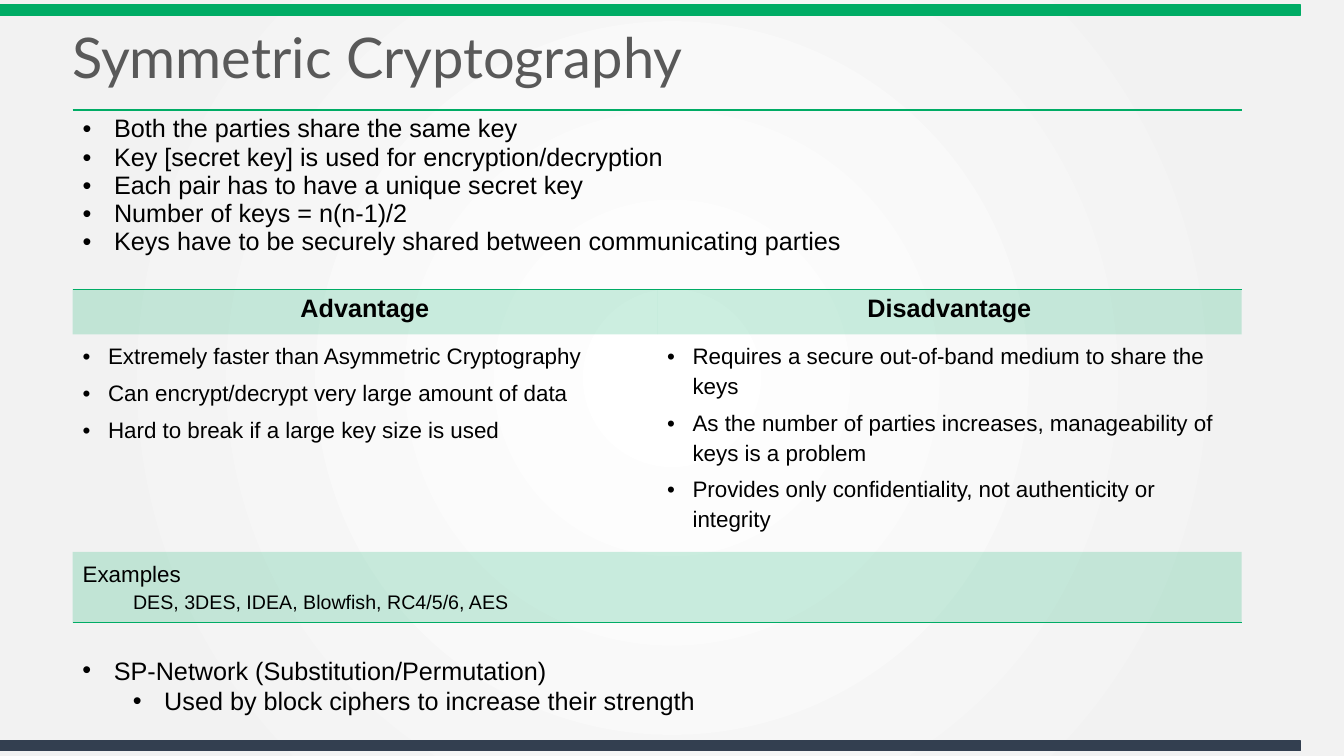
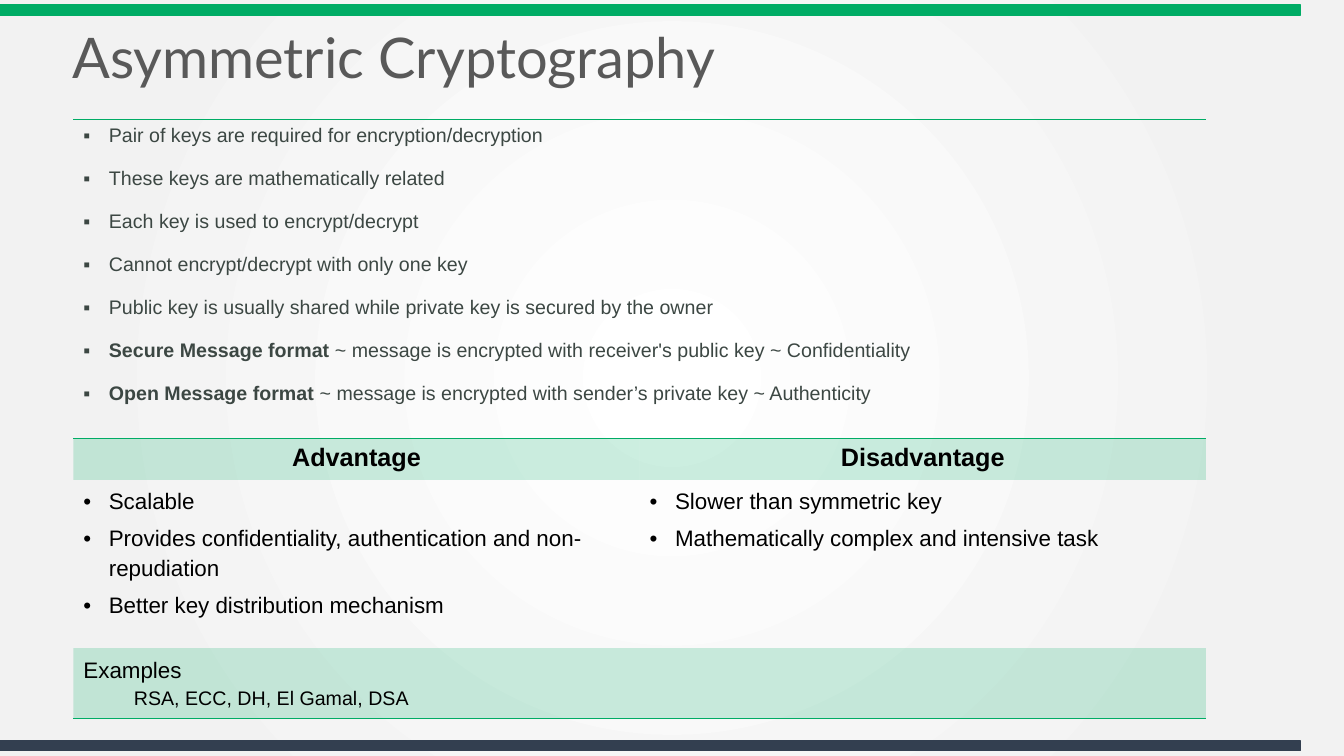
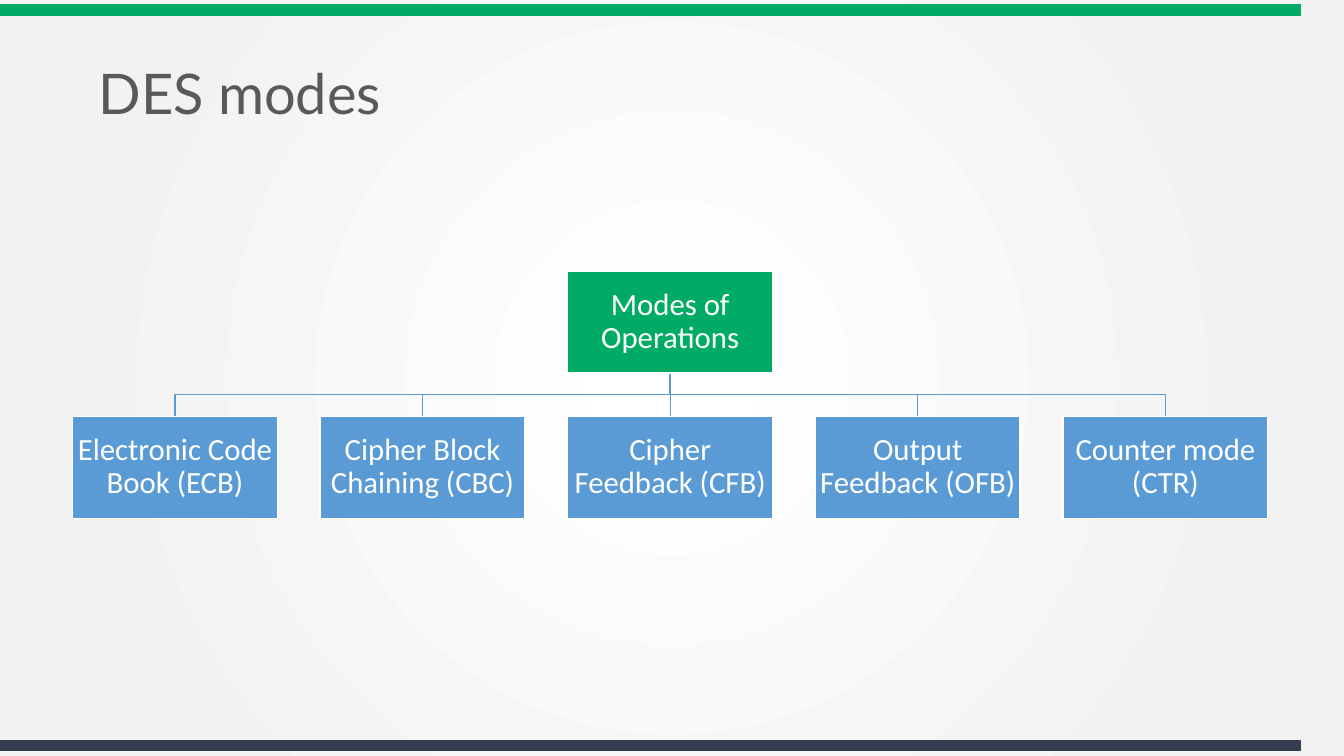
from lxml import etree
from pptx import Presentation, util as u
from pptx.dml.color import RGBColor
from pptx.enum import shapes, text
from pptx.oxml import parse_xml
from pptx.oxml.ns import nsdecls, qn

COLORS = {"green": "00AC65", "navy": "333F50", "title": "595959", "black": "000000",
          "slate": "3C4743", "blue": "5B9BD5", "white": "FFFFFF", "edge": "F2F2F2"}
NO_STYLE = "{2D5ABB26-0587-4C30-8999-92F81FD0307C}"

# Paragraph styles: margin and hanging indent in cm, sizes and gaps in points
STYLES = {
    "title": dict(font="Lato", size=40, color="title", spacing=0.9),
    "intro": dict(size=18, margin=0.79, hang=0.79, bullet="•"),
    "sub": dict(size=18, level=1, margin=2.06, hang=0.79, bullet="•"),
    "note": dict(size=14, color="slate", margin=0.64, hang=0.64, bullet="▪", before=15),
    "head": dict(size=18, bold=True, align=text.PP_ALIGN.CENTER),
    "point": dict(size=16, margin=0.64, hang=0.64, bullet="•", before=5, spacing=1.2),
    "label": dict(size=16, spacing=1.2),
    "names": dict(size=14, level=1, margin=1.27, spacing=1.2),
    "node": dict(font="Calibri", size=22, color="white", spacing=0.9,
                 align=text.PP_ALIGN.CENTER),
}


def rgb(name):
    """Return the named colour."""
    return RGBColor.from_string(COLORS[name])


def write(tf, lines):
    """Fill a text frame with (style, text) lines; text before a bar is bold."""
    tf.word_wrap = True
    for i, (style, line) in enumerate(lines):
        st = STYLES[style]
        p = tf.paragraphs[0] if i == 0 else tf.add_paragraph()
        p.level = st.get("level", 0)
        p.alignment = st.get("align", text.PP_ALIGN.LEFT)
        p.line_spacing = st.get("spacing", 1.0)
        p.space_before = u.Pt(st.get("before", 0))
        lead, _, rest = line.rpartition("|")
        for words, bold in ((lead, True), (rest, st.get("bold", False))):
            if words:
                r = p.add_run()
                r.text = words
                r.font.name = st.get("font", "Arial")
                r.font.size = u.Pt(st["size"])
                r.font.bold = bold
                r.font.color.rgb = rgb(st.get("color", "black"))
        pPr = p._p.get_or_add_pPr()
        pPr.set("marL", str(u.Cm(st.get("margin", 0))))
        pPr.set("indent", str(-u.Cm(st.get("hang", 0))))
        if "bullet" in st:
            etree.SubElement(pPr, qn("a:buFont")).set("typeface", "Arial")
            etree.SubElement(pPr, qn("a:buChar")).set("char", st["bullet"])


prs = Presentation()
prs.slide_width, prs.slide_height = u.Cm(33.87), u.Cm(19.05)
master = prs.slide_master

# Shared background
fill = master.background.fill
fill.solid()
solid = master._element.find(".//" + qn("a:solidFill"))
stops = "".join(f'<a:gs pos="{pos}"><a:srgbClr val="{COLORS[name]}"/></a:gs>'
                for pos, name in ((0, "white"), (81000, "edge"), (100000, "edge")))
solid.getparent().replace(solid, parse_xml(
    f'<a:gradFill {nsdecls("a")}><a:gsLst>{stops}</a:gsLst><a:path path="circle">'
    '<a:fillToRect l="50000" t="50000" r="50000" b="50000"/></a:path></a:gradFill>'))

# Slides and their titles
slides = []
for title, left, top in (("Symmetric Cryptography", 1.57, 0.51),
                         ("Asymmetric Cryptography", 1.57, 0.51),
                         ("DES modes", 2.24, 1.42)):
    s = prs.slides.add_slide(prs.slide_layouts[6])
    sp = s.shapes.add_textbox(u.Cm(left), u.Cm(top), u.Cm(29.72), u.Cm(2.03))
    sp.text_frame.vertical_anchor = text.MSO_ANCHOR.MIDDLE
    write(sp.text_frame, [("title", title)])
    slides.append(s)
symmetric, asymmetric, modes = slides

# Shared bands, moved to the master
for top, color in ((0.13, "green"), (18.67, "navy")):
    sp = symmetric.shapes.add_shape(shapes.MSO_SHAPE.RECTANGLE, 0, u.Cm(top),
                                    u.Cm(32.77), u.Cm(0.25))
    sp.shadow.inherit = False
    sp.fill.solid()
    sp.fill.fore_color.rgb = sp.line.color.rgb = rgb(color)
    sp.line.width = u.Pt(1)
    master.shapes._spTree.append(sp._element)

# Comparison tables
tables = [
    dict(slide=symmetric, left=1.83, top=2.77, col=14.73, rows=(4.52, 1.14, 5.41, 1.75),
         style="intro",
         intro=["Both the parties share the same key",
                "Key [secret key] is used for encryption/decryption",
                "Each pair has to have a unique secret key",
                "Number of keys = n(n-1)/2",
                "Keys have to be securely shared between communicating parties"],
         pros=["Extremely faster than Asymmetric Cryptography",
               "Can encrypt/decrypt very large amount of data",
               "Hard to break if a large key size is used"],
         cons=["Requires a secure out-of-band medium to share the keys",
               "As the number of parties increases, manageability of keys is a problem",
               "Provides only confidentiality, not authenticity or integrity"],
         examples="DES, 3DES, IDEA, Blowfish, RC4/5/6, AES"),
    dict(slide=asymmetric, left=1.85, top=3.02, col=14.27, rows=(8.03, 1.04, 4.24, 1.78),
         style="note",
         intro=["Pair of keys are required for encryption/decryption",
                "These keys are mathematically related",
                "Each key is used to encrypt/decrypt",
                "Cannot encrypt/decrypt with only one key",
                "Public key is usually shared while private key is secured by the owner",
                "Secure Message format |~ message is encrypted with receiver's public key"
                " ~ Confidentiality",
                "Open Message format |~ message is encrypted with sender’s private key"
                " ~ Authenticity"],
         pros=["Scalable",
               "Provides confidentiality, authentication and non-repudiation",
               "Better key distribution mechanism"],
         cons=["Slower than symmetric key", "Mathematically complex and intensive task"],
         examples="RSA, ECC, DH, El Gamal, DSA"),
]
BORDERS = {0: ("lnT", "lnB"), 3: ("lnB",)}
for t in tables:
    frame = t["slide"].shapes.add_table(4, 2, u.Cm(t["left"]), u.Cm(t["top"]),
                                        u.Cm(2 * t["col"]), u.Cm(sum(t["rows"])))
    table = frame.table
    table.first_row = table.horz_banding = False
    table._tbl.tblPr.find(qn("a:tableStyleId")).text = NO_STYLE
    for column in table.columns:
        column.width = u.Cm(t["col"])
    for i, height in enumerate(t["rows"]):
        table.rows[i].height = u.Cm(height)
        for cell in table.rows[i].cells:
            if i in (1, 3):
                cell.fill.solid()
                cell.fill.fore_color.rgb = rgb("green")
                tint = cell._tc.tcPr.find(".//" + qn("a:srgbClr"))
                etree.SubElement(tint, qn("a:alpha")).set("val", "20000")
            else:
                cell.fill.background()
            for k, side in enumerate(BORDERS.get(i, ())):
                cell._tc.tcPr.insert(k, parse_xml(
                    f'<a:{side} {nsdecls("a")} w="12700"><a:solidFill>'
                    f'<a:srgbClr val="{COLORS["green"]}"/></a:solidFill></a:{side}>'))
    for i in (0, 3):
        table.cell(i, 0).merge(table.cell(i, 1))
    write(table.cell(0, 0).text_frame, [(t["style"], line) for line in t["intro"]])
    for j, (head, points) in enumerate((("Advantage", t["pros"]),
                                        ("Disadvantage", t["cons"]))):
        write(table.cell(1, j).text_frame, [("head", head)])
        write(table.cell(2, j).text_frame, [("point", line) for line in points])
    write(table.cell(3, 0).text_frame, [("label", "Examples"), ("names", t["examples"])])

sp = symmetric.shapes.add_textbox(u.Cm(1.83), u.Cm(16.38), u.Cm(29.46), u.Cm(1.8))
write(sp.text_frame, [("intro", "SP-Network (Substitution/Permutation)"),
                      ("sub", "Used by block ciphers to increase their strength")])

# Tree of modes
LEFT, STEP, WIDTH, HEIGHT = 1.83, 6.24, 5.16, 2.57
ROOT_TOP, CHILD_TOP = 6.83, 10.49
root_left = LEFT + 2 * STEP
root_x, root_bottom = root_left + WIDTH / 2, ROOT_TOP + HEIGHT
bus_y = (root_bottom + CHILD_TOP) / 2
children = ["Electronic Code Book (ECB)", "Cipher Block Chaining (CBC)",
            "Cipher Feedback (CFB)", "Output Feedback (OFB)", "Counter mode (CTR)"]

for i in range(len(children)):
    x = LEFT + i * STEP + WIDTH / 2
    if i == 2:
        sp = modes.shapes.add_connector(shapes.MSO_CONNECTOR.STRAIGHT, u.Cm(root_x),
                                        u.Cm(root_bottom), u.Cm(root_x), u.Cm(CHILD_TOP))
        etree.SubElement(sp._element.spPr, qn("a:effectLst"))
    else:
        branch = modes.shapes.build_freeform(u.Cm(root_x), u.Cm(root_bottom))
        branch.add_line_segments([(u.Cm(root_x), u.Cm(bus_y)), (u.Cm(x), u.Cm(bus_y)),
                                  (u.Cm(x), u.Cm(CHILD_TOP))], close=False)
        sp = branch.convert_to_shape()
        sp.shadow.inherit = False
        sp.fill.background()
    sp.line.color.rgb = rgb("blue")
    sp.line.width = u.Pt(1)

nodes = [("Modes of Operations", root_left, ROOT_TOP, "green")]
nodes += [(name, LEFT + i * STEP, CHILD_TOP, "blue") for i, name in enumerate(children)]
for name, left, top, color in nodes:
    sp = modes.shapes.add_shape(shapes.MSO_SHAPE.RECTANGLE, u.Cm(left), u.Cm(top),
                                u.Cm(WIDTH), u.Cm(HEIGHT))
    sp.shadow.inherit = False
    sp.fill.solid()
    sp.fill.fore_color.rgb = rgb(color)
    sp.line.color.rgb = rgb("white")
    sp.line.width = u.Pt(1)
    tf = sp.text_frame
    tf.margin_left = tf.margin_right = tf.margin_top = tf.margin_bottom = u.Cm(0.05)
    tf.vertical_anchor = text.MSO_ANCHOR.MIDDLE
    write(tf, [("node", name)])

prs.save("out.pptx")
